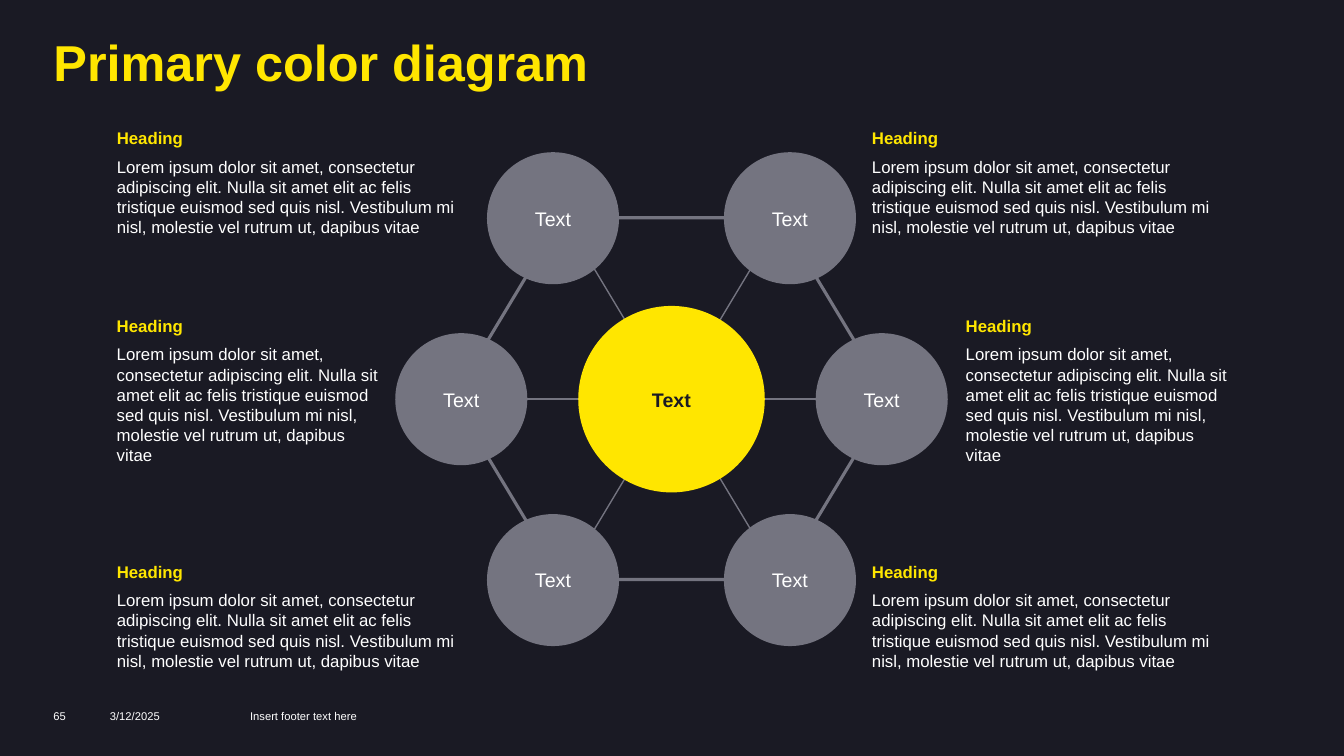
from lxml import etree
from pptx import Presentation
from pptx.dml.color import RGBColor
from pptx.enum import shapes as sh, text as tx
from pptx.oxml.ns import qn
from pptx.util import Inches, Pt

COLORS = {"dark": "1A1A24", "yellow": "FFE600", "white": "FFFFFF", "gray": "747480"}
TITLE = "Primary color diagram"
HEAD = "Heading"
BODY = ("Lorem ipsum dolor sit amet, consectetur adipiscing elit. Nulla sit amet "
        "elit ac felis tristique euismod sed quis nisl. Vestibulum mi nisl, "
        "molestie vel rutrum ut, dapibus vitae")
LABEL = "Text"
FOOTER = [("65", 0.53, 0.56), ("3/12/2025", 1.09, 1.4),
          ("Insert footer text here", 2.48, 4.18)]
NOTES = [  # left, top, width, height
    (1.06, 1.27, 3.61, 1.14), (1.06, 3.13, 2.86, 1.55), (1.06, 5.57, 3.65, 1.14),
    (8.55, 1.27, 3.71, 1.14), (9.48, 3.13, 2.86, 1.55), (8.55, 5.57, 3.66, 1.14)]

MID_X, MID_Y = 6.66, 3.96
NODE, HUB = 1.31, 1.85
NEAR, FAR, RISE = 1.175, 2.085, 1.795  # node offsets from the hub
NODES = [(-NEAR, -RISE), (NEAR, -RISE), (-NEAR, RISE), (NEAR, RISE), (FAR, 0), (-FAR, 0)]
SPOKES = [(1.08, -1.8), (-1.08, -1.8), (-2.17, 0)]  # start offsets; ends mirror them


def color(name):
    return RGBColor.from_string(COLORS[name])


def style(para, size, tint, bold=False):
    font = para.font
    font.name, font.size, font.bold = "Arial", Pt(size), bold
    font.color.rgb = color(tint)


def inset(frame, left, top, right, bottom):
    frame.margin_left, frame.margin_top = Inches(left), Inches(top)
    frame.margin_right, frame.margin_bottom = Inches(right), Inches(bottom)


def add_box(slide, lines, *place):
    box = slide.shapes.add_textbox(*map(Inches, place))
    frame = box.text_frame
    frame.word_wrap = True
    frame.text = "\n".join(lines)
    inset(frame, 0, 0, 0, 0)
    return frame


def add_disc(slide, x, y, size, fill, tint, bold=False):
    """Add a labelled circle centred on x, y."""
    disc = slide.shapes.add_shape(
        sh.MSO_SHAPE.OVAL, Inches(x - size / 2), Inches(y - size / 2),
        Inches(size), Inches(size))
    disc.shadow.inherit = False
    disc.fill.solid()
    disc.fill.fore_color.rgb = color(fill)
    disc.line.fill.background()
    frame = disc.text_frame
    frame.text = LABEL
    frame.word_wrap = bold
    frame.vertical_anchor = tx.MSO_ANCHOR.MIDDLE
    gap = 0 if bold else 0.04
    inset(frame, gap, gap, gap, gap)
    para = frame.paragraphs[0]
    para.alignment = tx.PP_ALIGN.CENTER
    style(para, 14, tint, bold)


def add_frame(slide):
    """Add the hexagon and the spokes behind the circles."""
    ring = slide.shapes.add_shape(
        sh.MSO_SHAPE.HEXAGON, Inches(4.49), Inches(2.16), Inches(4.33), Inches(3.59))
    ring.shadow.inherit = False
    ring.adjustments[0] = 0.301
    ring.fill.background()
    ring.line.color.rgb = color("gray")
    ring.line.width = Pt(2.25)
    for dx, dy in SPOKES:
        x = MID_X + 0.01
        spoke = slide.shapes.add_connector(
            sh.MSO_CONNECTOR.STRAIGHT, Inches(x + dx), Inches(MID_Y + dy),
            Inches(x - dx), Inches(MID_Y - dy))
        spoke.line.color.rgb = color("gray")
        spoke.line.width = Pt(1)
        etree.SubElement(spoke._element.spPr, qn("a:effectLst"))


def main():
    deck = Presentation()
    deck.slide_width, deck.slide_height = Inches(13.33), Inches(7.5)
    slide = deck.slides.add_slide(deck.slide_layouts[6])
    slide.background.fill.solid()
    slide.background.fill.fore_color.rgb = color("dark")

    title = add_box(slide, [TITLE], 0.53, 0.4, 12.28, 0.51).paragraphs[0]
    title.line_spacing = 0.85
    style(title, 36, "yellow", True)
    for words, left, width in FOOTER:
        foot = add_box(slide, [words], left, 7.04, width, 0.13)
        style(foot.paragraphs[0], 8, "white")

    add_frame(slide)
    for dx, dy in NODES:
        add_disc(slide, MID_X + dx, MID_Y + dy, NODE, "gray", "white")
    add_disc(slide, MID_X, MID_Y, HUB, "yellow", "dark", True)

    for place in NOTES:
        note = add_box(slide, [HEAD, BODY], *place)
        inset(note, 0.1, 0, 0.1, 0.05)
        note.auto_size = tx.MSO_AUTO_SIZE.SHAPE_TO_FIT_TEXT
        head, body = note.paragraphs
        head.space_after = body.space_after = Pt(6)
        style(head, 12, "yellow", True)
        style(body, 12, "white")

    deck.save("out.pptx")


if __name__ == "__main__":
    main()
